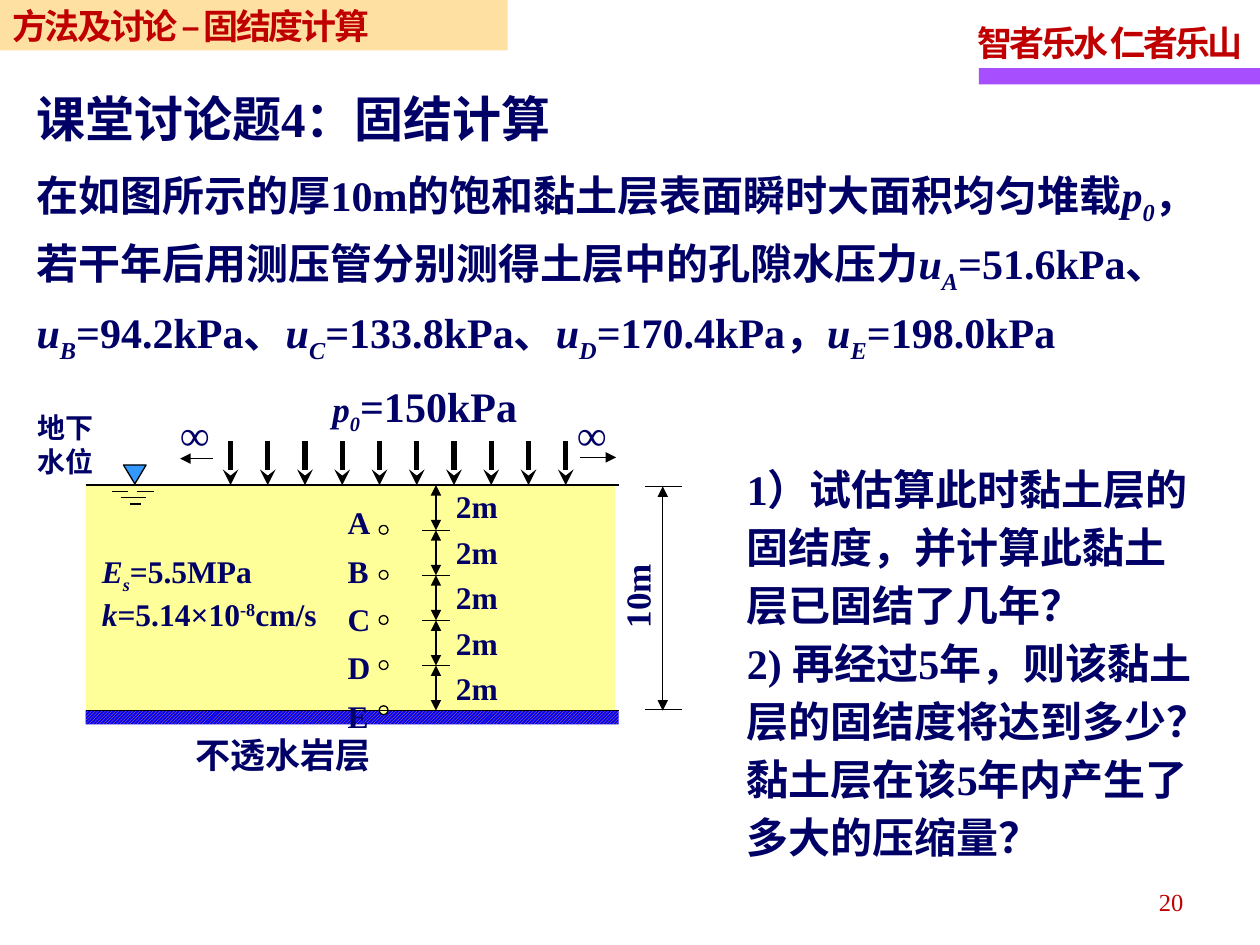
from dataclasses import dataclass
from typing import NamedTuple, Optional

import lxml.etree
import pptx
import pptx.dml.color
import pptx.enum.dml
import pptx.enum.shapes
import pptx.enum.text
import pptx.oxml.ns
import pptx.util

Inches = pptx.util.Inches
Pt = pptx.util.Pt
qn = pptx.oxml.ns.qn
SHAPE = pptx.enum.shapes.MSO_SHAPE
ALIGN = pptx.enum.text.PP_ALIGN
ANCHOR = pptx.enum.text.MSO_ANCHOR
SERIF, SANS = "Times New Roman", "Noto Sans CJK SC"
NAVY, RED, BLACK, CLAY = "000066", "C00000", "000000", "FFFF99"


class Run(NamedTuple):
    text: str
    italic: bool = False
    baseline: int = 0
    size: Optional[float] = None


@dataclass
class Label:
    box: tuple[float, float, float, float]
    paragraphs: list[list[Run]]
    size: float
    font: str = SERIF
    color: str = NAVY
    bold: bool = True
    wrap: bool = True
    align: ALIGN = ALIGN.LEFT
    anchor: ANCHOR = ANCHOR.TOP
    margins: tuple[float, float] = (0.1, 0.05)
    line_spacing: Optional[float] = None
    space_after: float = 0
    tracking: float = 0
    rotation: float = 0


@dataclass
class Line:
    start: tuple[float, float]
    end: tuple[float, float]
    width: float = 0.75
    head: str = ""
    tail: str = ""


def rgb(value: str) -> pptx.dml.color.RGBColor:
    return pptx.dml.color.RGBColor.from_string(value)


def plain(*texts: str) -> list[list[Run]]:
    return [[Run(text)] for text in texts]


def symbol(letter: str, index: str, size: Optional[float] = None) -> list[Run]:
    return [Run(letter, True, 0, size), Run(index, True, -25, size)]


def write(shape, label: Label) -> None:
    frame = shape.text_frame
    frame.word_wrap = label.wrap
    frame.vertical_anchor = label.anchor
    frame.margin_left = frame.margin_right = Inches(label.margins[0])
    frame.margin_top = frame.margin_bottom = Inches(label.margins[1])
    for number, runs in enumerate(label.paragraphs):
        paragraph = frame.add_paragraph() if number else frame.paragraphs[0]
        paragraph.alignment = label.align
        paragraph.space_after = Pt(label.space_after)
        if label.line_spacing:
            paragraph.line_spacing = label.line_spacing
        font = paragraph.font
        font.size, font.bold, font.name = Pt(label.size), label.bold, label.font
        font.color.rgb = rgb(label.color)
        for part in runs:
            run = paragraph.add_run()
            run.text = part.text
            properties = run._r.get_or_add_rPr()
            if part.italic:
                run.font.italic = True
            if part.size:
                run.font.size = Pt(part.size)
            if part.baseline:
                properties.set("baseline", str(part.baseline * 1000))
            if label.tracking:
                properties.set("spc", str(round(label.tracking * 100)))
            lxml.etree.SubElement(properties, qn("a:ea")).set("typeface", SANS)


def add_label(slide, label: Label) -> None:
    box = slide.shapes.add_textbox(*map(Inches, label.box))
    box.rotation = label.rotation
    write(box, label)
    box.text_frame.auto_size = pptx.enum.text.MSO_AUTO_SIZE.SHAPE_TO_FIT_TEXT


def add_block(slide, kind: SHAPE, box: tuple, fill: str, outline: str = ""):
    block = slide.shapes.add_shape(kind, *map(Inches, box))
    block.shadow.inherit = False
    block.fill.solid()
    block.fill.fore_color.rgb = rgb(fill)
    if outline:
        block.line.color.rgb = rgb(outline)
        block.line.width = Pt(0.75)
    else:
        block.line.fill.background()
    return block


def add_line(slide, line: Line) -> None:
    connector = slide.shapes.add_connector(
        pptx.enum.shapes.MSO_CONNECTOR.STRAIGHT, *map(Inches, line.start + line.end))
    connector.line.color.rgb = rgb(BLACK)
    connector.line.width = Pt(line.width)
    outline = connector.line._get_or_add_ln()
    for tag, kind in (("a:headEnd", line.head), ("a:tailEnd", line.tail)):
        if kind:
            lxml.etree.SubElement(outline, qn(tag)).set("type", kind)
    lxml.etree.SubElement(connector._element.spPr, qn("a:effectLst"))


def add_headings(slide) -> None:
    add_block(slide, SHAPE.RECTANGLE, (7.77, 0.54, 2.23, 0.13), "A74FFF")
    add_label(slide, Label((7.66, 0.07, 2.36, 0.49), plain("智者乐水 仁者乐山"), 20,
                           color=RED, wrap=False, line_spacing=1.15, tracking=-1.7))
    add_label(slide, Label((7.16, 6.96, 2.33, 0.4), plain("20"), 14, color=RED,
                           bold=False, align=ALIGN.RIGHT, line_spacing=1.15))
    banner_box = (0, 0, 4.03, 0.4)
    banner = add_block(slide, SHAPE.RECTANGLE, banner_box, "FFCC66")
    color = banner._element.spPr.find(qn("a:solidFill"))[0]
    lxml.etree.SubElement(color, qn("a:alpha")).set("val", "60000")
    write(banner, Label(banner_box, plain("方法及讨论 – 固结度计算"), 20, SANS, RED,
                        anchor=ANCHOR.MIDDLE, tracking=-1.4))


def add_problem(slide) -> None:
    pressures = {"A": "51.6kPa、", "B": "94.2kPa、", "C": "133.8kPa、",
                 "D": "170.4kPa，", "E": "198.0kPa"}
    problem = [Run("在如图所示的厚10m的饱和黏土层表面瞬时大面积均匀堆载"), *symbol("p", "0"),
               Run("，若干年后用测压管分别测得土层中的孔隙水压力")]
    for point, pressure in pressures.items():
        problem += [*symbol("u", point), Run(f"={pressure}")]
    add_label(slide, Label((0.29, 1.29, 9.29, 1.56), [problem], 24, line_spacing=1.2,
                           anchor=ANCHOR.MIDDLE, margins=(0, 0.05)))
    add_label(slide, Label((0.29, 0.65, 5.47, 0.57), plain("课堂讨论题4：固结计算"), 28,
                           margins=(0, 0.05)))
    add_label(slide, Label((5.83, 3.57, 3.79, 3.32), plain(
        "1）试估算此时黏土层的固结度，并计算此黏土层已固结了几年？",
        "2) 再经过5年，则该黏土层的固结度将达到多少？黏土层在该5年内产生了多大的压缩量？",
    ), 24, line_spacing=1.15))


def add_soil_profile(slide) -> None:
    surface, bottom, layers = 3.85, 5.64, 5
    pitch = (bottom - surface) / layers
    add_block(slide, SHAPE.RECTANGLE, (0.68, surface, 4.2, 1.84), CLAY)
    rock = add_block(slide, SHAPE.RECTANGLE, (0.68, bottom, 4.23, 0.11), "0000FF")
    rock.fill.patterned()
    rock.fill.pattern = pptx.enum.dml.MSO_PATTERN.DARK_UPWARD_DIAGONAL
    rock.fill.fore_color.rgb = rgb("FF9933")
    rock.fill.back_color.rgb = rgb("0000FF")

    loads = [1.83 + 2.66 / 9 * i for i in range(10)]
    lines = [Line((x, 3.5), (x, surface), 3, tail="stealth") for x in loads]
    lines += [Line((0.68, y), (4.91, y)) for y in (surface, bottom)]
    lines += [Line((5.12, y), (5.41, y)) for y in (surface + 0.01, bottom - 0.01)]
    lines += [Line((1.69, 3.64), (1.43, 3.64), tail="triangle"),
              Line((4.6, 3.63), (4.89, 3.63), tail="triangle"),
              Line((5.26, 3.86), (5.26, bottom), head="triangle", tail="triangle")]
    for layer in range(layers):
        top = surface + pitch * layer
        if layer:
            lines.append(Line((3.35, top), (3.57, top)))
        lines.append(Line((3.46, top), (3.46, top + pitch), head="triangle", tail="triangle"))
        add_block(slide, SHAPE.OVAL, (3.01, 4.17 + pitch * layer, 0.07, 0.07), CLAY, BLACK)
    water = add_block(slide, SHAPE.ISOSCELES_TRIANGLE, (0.98, 3.69, 0.18, 0.15), "3399FF", BLACK)
    water.rotation = 180
    lines += [Line((left, y), (right, y)) for left, right, y in (
        (0.89, 1.02, 3.9), (1.09, 1.22, 3.9), (0.96, 1.16, 3.95), (1.03, 1.12, 4))]
    for line in lines:
        add_line(slide, line)

    modulus = [*symbol("E", "s"), Run("=5.5MPa")]
    permeability = [Run("k", True), Run("=5.14×10"), Run("-8", baseline=30), Run("cm/s")]
    labels = [
        Label((4.8, 4.56, 0.51, 0.34), plain("10m"), 20, wrap=False, align=ALIGN.CENTER,
              margins=(0, 0), rotation=270),
        Label((1.4, 5.82, 1.69, 0.33), plain("不透水岩层"), 20, SANS, align=ALIGN.CENTER,
              margins=(0, 0)),
        Label((2.54, 2.97, 1.73, 0.51), [[*symbol("p", "0", 20), Run("=150kPa")]], 24,
              wrap=False),
        Label((2.66, 3.9, 0.38, 1.95), plain(*"ABCDE"), 18, line_spacing=1.15,
              space_after=2.8),
        Label((3.52, 3.76, 0.53, 1.91), plain(*["2m"] * layers), 18, wrap=False,
              line_spacing=1.2),
        Label((0.71, 4.33, 1.93, 0.7), [modulus, permeability], 18, wrap=False),
        Label((0.2, 3.21, 0.73, 0.64), plain("地下", "水位"), 16),
    ]
    labels += [Label((left, 3.19, 0.44, 0.5), plain("∞"), 24, bold=False, wrap=False)
               for left in (1.33, 4.48)]
    for label in labels:
        add_label(slide, label)


def main() -> None:
    """Build the consolidation exercise slide and save it."""
    deck = pptx.Presentation()
    deck.slide_width, deck.slide_height = Inches(10), Inches(7.5)
    slide = deck.slides.add_slide(deck.slide_layouts[6])
    add_headings(slide)
    add_problem(slide)
    add_soil_profile(slide)
    deck.save("out.pptx")


if __name__ == "__main__":
    main()
